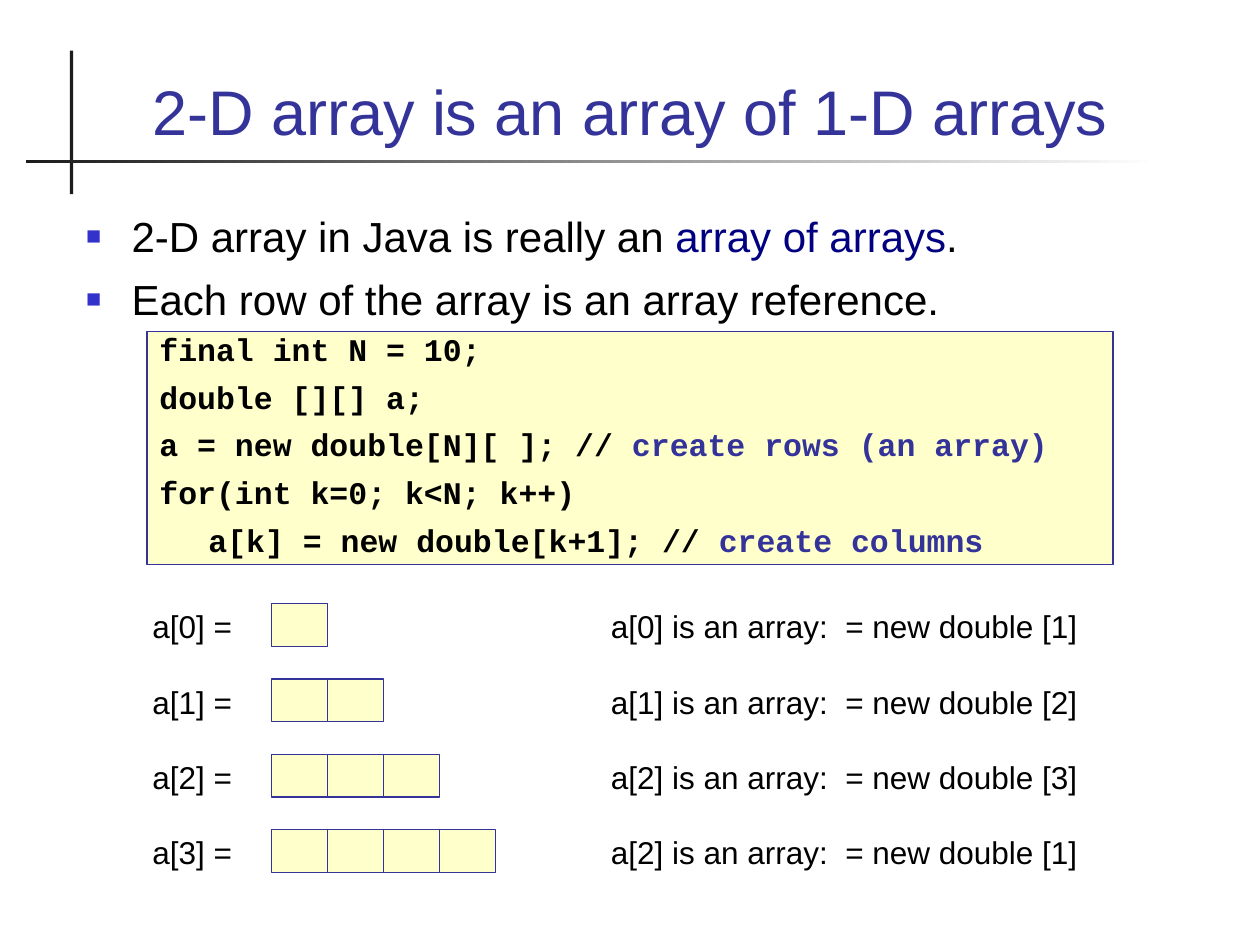
from pptx import Presentation
from pptx.dml.color import RGBColor as RGB
from pptx.enum.shapes import MSO_SHAPE as Geo
from pptx.enum.text import MSO_ANCHOR as Anchor, MSO_AUTO_SIZE as Auto, PP_ALIGN as Align
from pptx.oxml.xmlchemy import OxmlElement as Node
from pptx.util import Pt

HUE = {"blue": "333399", "navy": "000080", "mark": "3333CC", "text": "000000",
       "cell": "FFFFCC", "rule": "1C1C1C", "page": "FFFFFF"}

# Content: each paragraph is a list of (text, colour) runs
TITLE = [[("2-D array is an array of 1-D arrays", "blue")]]
BODY = [
    [("2-D array in Java is really an ", "text"), ("array of arrays", "navy"), (".", "text")],
    [("Each row of the array is an array reference.", "text")],
]
CODE = [
    [("final int N = 10;", "text")],
    [("double [][] a;", "text")],
    [("a = new double[N][ ]; // ", "text"), ("create rows (an array)", "blue")],
    [("for(int k=0; k<N; k++)", "text")],
    [("\ta[k] = new double[k+1]; // ", "text"), ("create columns", "blue")],
]
ROWS = [
    ("a[0] =", 1, "a[0] is an array:  = new double [1]"),
    ("a[1] =", 2, "a[1] is an array:  = new double [2]"),
    ("a[2] =", 3, "a[2] is an array:  = new double [3]"),
    ("a[3] =", 4, "a[2] is an array:  = new double [1]"),
]

# Row grid in points
TOP, STEP = 343.5, 43
NAME_X, CELL_X, NOTE_X = 80, 155, 342
CELL_W, CELL_H = 32, 24.5


def rgb(key):
    return RGB.from_string(HUE[key])


def add(props, tag, **attrs):
    node = Node(tag)
    for key, val in attrs.items():
        node.set(key, str(val))
    props.append(node)
    return node


def bullet(para):
    props = para._p.get_or_add_pPr()
    props.set("marL", str(Pt(26)))
    props.set("indent", str(Pt(-26)))
    add(add(props, "a:buClr"), "a:srgbClr", val=HUE["mark"])
    add(props, "a:buSzPct", val=60000)
    add(props, "a:buFont", typeface="Arial")
    add(props, "a:buChar", char="■")


def tab(para):
    tabs = add(para._p.get_or_add_pPr(), "a:tabLst")
    add(tabs, "a:tab", pos=Pt(28), algn="l")


def write(shape, paras, size=18, face="Arial", bold=False, gap=0,
          align=Align.LEFT, anchor=Anchor.TOP, wrap=True, mark=None):
    frame = shape.text_frame
    frame.word_wrap = wrap
    frame.auto_size = Auto.NONE
    frame.vertical_anchor = anchor
    for i, runs in enumerate(paras):
        para = frame.paragraphs[0] if i == 0 else frame.add_paragraph()
        if mark:
            mark(para)
        para.alignment = align
        para.space_before = Pt(gap if i else 0)
        for text, hue in runs:
            run = para.add_run()
            run.text = text
            font = run.font
            font.size, font.name, font.bold = Pt(size), face, bold
            font.color.rgb = rgb(hue)


def place(shape, x, y, w, h):
    shape.left, shape.top, shape.width, shape.height = map(Pt, (x, y, w, h))
    return shape


def rect(x, y, w, h, fill="cell", line="blue"):
    box = slide.shapes.add_shape(Geo.RECTANGLE, Pt(x), Pt(y), Pt(w), Pt(h))
    box.shadow.inherit = False
    box.fill.solid()
    box.fill.fore_color.rgb = rgb(fill)
    if line:
        box.line.color.rgb = rgb(line)
        box.line.width = Pt(0.75)
    else:
        box.line.fill.background()
    return box


def label(text, x, y, w):
    box = slide.shapes.add_textbox(Pt(x), Pt(y), Pt(w), Pt(28.8))
    write(box, [[(text, "text")]], wrap=False)


deck = Presentation()
deck.slide_width, deck.slide_height = Pt(720), Pt(540)
slide = deck.slides.add_slide(deck.slide_layouts[1])

# Crossed rules, the long one fading to the right
rect(40, 29, 1.8, 82, fill="rule", line=None)
fade = rect(15, 91.2, 647, 1.8, fill="rule", line=None).fill
fade.gradient()
fade.gradient_angle = 0
for stop, hue in zip(fade.gradient_stops, ("rule", "page")):
    stop.color.rgb = rgb(hue)

# Title and bullets
title, body = slide.placeholders
write(place(title, 48, 20, 624, 68.5), TITLE, size=36, align=Align.CENTER,
      anchor=Anchor.BOTTOM)
write(place(body, 42, 116.5, 624, 72), BODY, size=24, gap=7.2, mark=bullet)

# Code panel
write(rect(84, 189.3, 552, 133.3), CODE, face="Courier New", bold=True, gap=5.6,
      anchor=Anchor.BOTTOM, mark=tab)

# One row per inner array
for i, (name, count, note) in enumerate(ROWS):
    y = TOP + i * STEP
    label(name, NAME_X, y, 64)
    for j in range(count):
        rect(CELL_X + j * CELL_W, y + 1.5, CELL_W, CELL_H)
    label(note, NOTE_X, y, 300)

deck.save("out.pptx")
